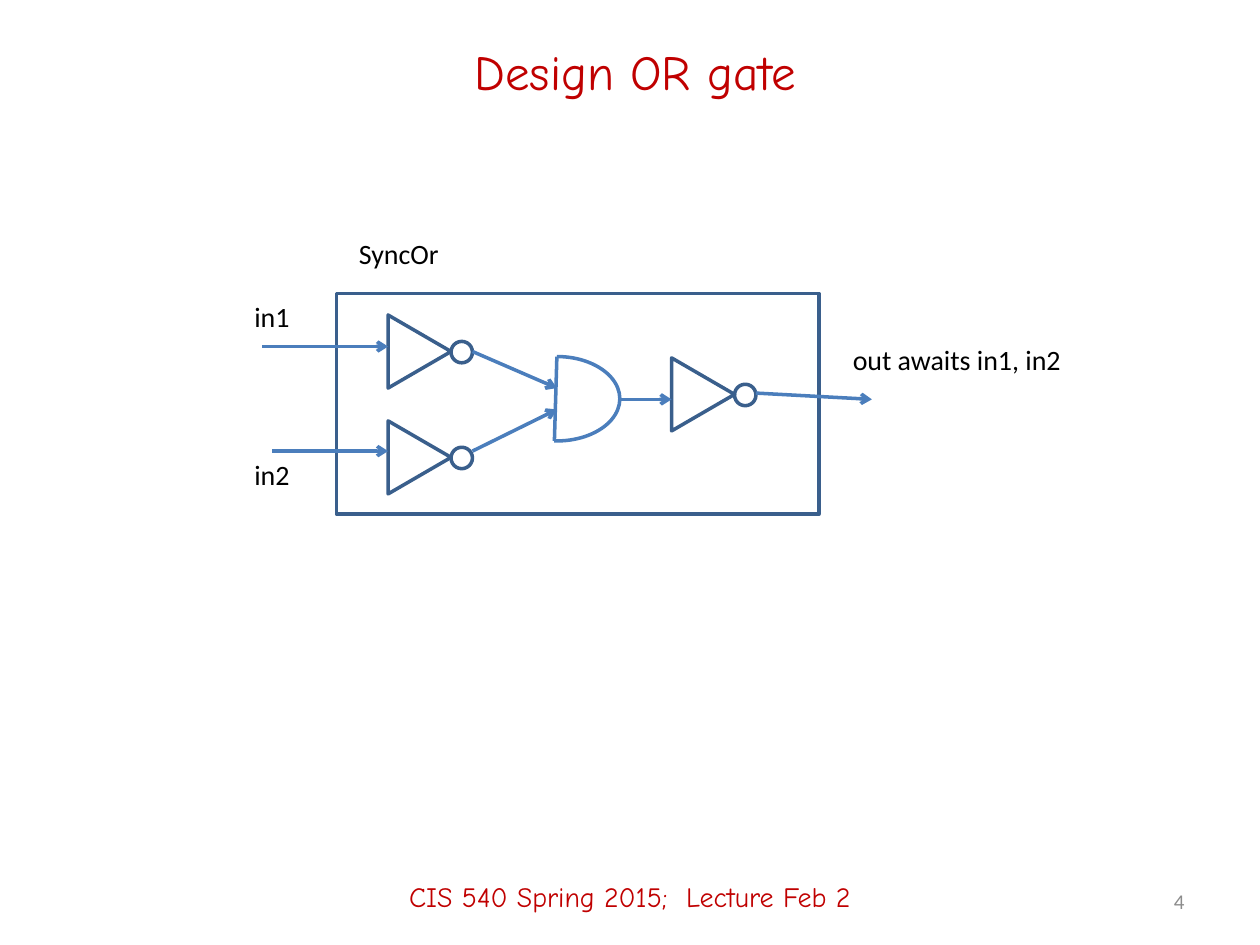
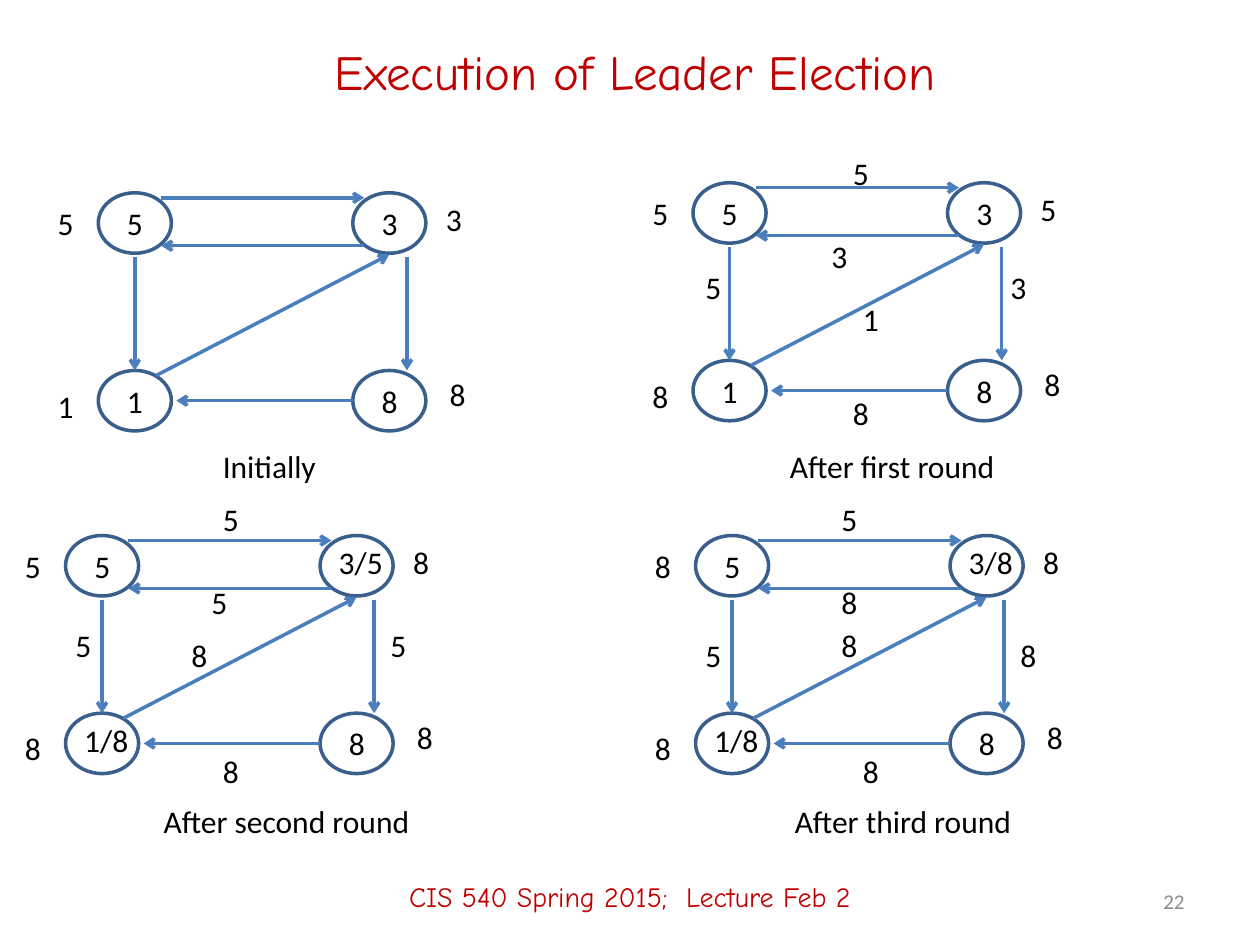
from typing import NamedTuple

from lxml import etree
from pptx import Presentation
from pptx.dml.color import RGBColor
from pptx.enum.shapes import MSO_CONNECTOR, MSO_SHAPE
from pptx.enum.text import MSO_ANCHOR, MSO_AUTO_SIZE, PP_ALIGN
from pptx.oxml.ns import qn
from pptx.presentation import Presentation as Deck
from pptx.shapes.autoshape import Shape
from pptx.slide import Slide
from pptx.text.text import TextFrame
from pptx.util import Inches, Pt

RED = RGBColor(0xC0, 0x00, 0x00)
BLACK = RGBColor(0x00, 0x00, 0x00)
GRAY = RGBColor(0x8C, 0x8C, 0x8C)
WIRE_BLUE = RGBColor(0x4B, 0x7E, 0xBC)
OUTLINE_BLUE = RGBColor(0x3A, 0x5F, 0x8C)

HEADING_FONT, BODY_FONT = "Comic Neue", "Calibri"
FOOTER = "CIS 540 Spring 2015;  Lecture Feb 2"
TITLE_ONLY = 5
LEFT, CENTER, RIGHT = PP_ALIGN.LEFT, PP_ALIGN.CENTER, PP_ALIGN.RIGHT
MIDDLE = MSO_ANCHOR.MIDDLE
FIT_TEXT = MSO_AUTO_SIZE.SHAPE_TO_FIT_TEXT
STRAIGHT = MSO_CONNECTOR.STRAIGHT
OVAL, TRIANGLE = MSO_SHAPE.OVAL, MSO_SHAPE.ISOSCELES_TRIANGLE
RECTANGLE, ARC = MSO_SHAPE.RECTANGLE, MSO_SHAPE.ARC


class Box(NamedTuple):
    left: float
    top: float
    width: float
    height: float


class Label(NamedTuple):
    text: str
    left: float
    top: float
    width: float = 0.33
    height: float = 0.4


class Wire(NamedTuple):
    x1: float
    y1: float
    x2: float
    y2: float


class Round(NamedTuple):
    left: float
    top: float
    nodes: tuple[str, ...]
    leaders: tuple[str, ...]
    caption: Label
    messages: tuple[Label, ...] = ()


# Ring layout, relative to the top left node
NODE_SPOTS = [(x, y) for y in (0, 1.41) for x in (0, 2.02)]
LEADER_SPOTS = [(-0.42, 0.04), (2.66, 0.01), (-0.42, 1.49), (2.69, 1.4)]
RING_WIRES = [
    Wire(0.5, 0.04, 2.11, 0.04),
    Wire(2.11, 0.42, 0.5, 0.42),
    Wire(0.29, 0.51, 0.29, 1.41),
    Wire(2.45, 0.51, 2.45, 1.41),
    Wire(0.46, 1.45, 2.31, 0.49),
    Wire(2.02, 1.65, 0.62, 1.65),
]

# Nodes and leaders run top left, top right, bottom left, bottom right
ROUNDS = [
    Round(0.78, 1.53, ("5", "3", "1", "8"), ("5", "3", "1", "8"),
          Label("Initially", 1.67, 3.5, 0.95)),
    Round(5.5, 1.45, ("5", "3", "1", "8"), ("5", "5", "8", "8"),
          Label("After first round", 6.17, 3.5, 1.85),
          (Label("5", 6.67, 1.17), Label("3", 6.5, 1.83), Label("5", 5.5, 2.08),
           Label("3", 7.92, 2.08), Label("1", 6.75, 2.33), Label("8", 6.67, 3.08))),
    Round(0.52, 4.25, ("5", "3/5", "1/8", "8"), ("5", "8", "8", "8"),
          Label("After second round", 1.2, 6.32, 2.18),
          (Label("5", 1.67, 3.92), Label("5", 1.58, 4.58), Label("5", 0.5, 4.92),
           Label("5", 3, 4.92), Label("8", 1.42, 5), Label("8", 1.67, 5.92))),
    Round(5.52, 4.25, ("5", "3/8", "1/8", "8"), ("8", "8", "8", "8"),
          Label("After third round", 6.21, 6.32, 1.94),
          (Label("5", 6.58, 3.92), Label("8", 6.58, 4.58), Label("5", 5.5, 5),
           Label("8", 8, 5), Label("8", 6.58, 4.92), Label("8", 6.75, 5.92))),
]

# OR gate parts
INVERTERS = [(3.04, 2.54), (3.04, 3.38), (5.29, 2.88)]
GATE_WIRES = [
    Wire(2.08, 2.75, 3.08, 2.75),
    Wire(2.16, 3.58, 3.08, 3.58),
    Wire(3.75, 2.79, 4.42, 3.08),
    Wire(3.75, 3.58, 4.42, 3.25),
    Wire(4.92, 3.17, 5.33, 3.17),
    Wire(6, 3.12, 6.92, 3.17),
]
GATE_LABELS = [
    Label("SyncOr", 2.75, 1.83, 0.84, 0.37),
    Label("in1", 1.92, 2.33, 0.48, 0.37),
    Label("in2", 1.92, 3.58, 0.48, 0.37),
    Label("out awaits in1, in2", 6.67, 2.67, 1.87, 0.37),
]


def write(frame: TextFrame, text: str, size: int, font: str,
          color: RGBColor, align: PP_ALIGN) -> None:
    paragraph = frame.paragraphs[0]
    paragraph.alignment = align
    run = paragraph.add_run()
    run.text = text
    run.font.size = Pt(size)
    run.font.name = font
    run.font.color.rgb = color


def add_label(slide: Slide, label: Label, size: int = 18) -> None:
    frame = slide.shapes.add_textbox(*map(Inches, label[1:])).text_frame
    frame.word_wrap = False
    frame.auto_size = FIT_TEXT
    write(frame, label.text, size, BODY_FONT, BLACK, LEFT)


def add_band(slide: Slide, box: Box, text: str, size: int, font: str,
             color: RGBColor, align: PP_ALIGN) -> None:
    frame = slide.shapes.add_textbox(*map(Inches, box)).text_frame
    frame.word_wrap = True
    frame.vertical_anchor = MIDDLE
    write(frame, text, size, font, color, align)


def add_outline(slide: Slide, kind: MSO_SHAPE, box: Box,
                color: RGBColor = OUTLINE_BLUE) -> Shape:
    shape = slide.shapes.add_shape(kind, *map(Inches, box))
    shape.shadow.inherit = False
    shape.fill.background()
    shape.line.color.rgb = color
    shape.line.width = Pt(2)
    return shape


def add_wire(slide: Slide, wire: Wire, arrow: bool = True) -> None:
    connector = slide.shapes.add_connector(STRAIGHT, *map(Inches, wire))
    connector.line.color.rgb = WIRE_BLUE
    connector.line.width = Pt(2)
    properties = connector._element.spPr
    if arrow:
        etree.SubElement(properties.find(qn("a:ln")), qn("a:tailEnd"), type="arrow")
    etree.SubElement(properties, qn("a:effectLst"))


def start_slide(deck: Deck, title: str, number: int) -> Slide:
    slide = deck.slides.add_slide(deck.slide_layouts[TITLE_ONLY])
    heading = slide.shapes.title
    heading.left, heading.top = Inches(0.75), Inches(0.17)
    heading.width, heading.height = Inches(8.58), Inches(0.78)
    heading.text_frame.vertical_anchor = MIDDLE
    write(heading.text_frame, title, 28, HEADING_FONT, RED, CENTER)
    add_band(slide, Box(0, 6.72, 10, 0.78), FOOTER, 16, HEADING_FONT, RED, CENTER)
    add_band(slide, Box(7.17, 6.95, 2.33, 0.4), str(number), 12, BODY_FONT, GRAY, RIGHT)
    return slide


def add_inverter(slide: Slide, left: float, top: float) -> None:
    add_outline(slide, TRIANGLE, Box(left, top, 0.58, 0.5)).rotation = 90
    add_outline(slide, OVAL, Box(left + 0.54, top + 0.17, 0.17, 0.17))


def add_and_gate(slide: Slide) -> None:
    add_wire(slide, Wire(4.42, 2.83, 4.4, 3.5), arrow=False)
    curve = add_outline(slide, ARC, Box(3.92, 2.83, 1, 0.67), WIRE_BLUE)
    curve.adjustments[0] = 162
    curve.adjustments[1] = 56.146


def add_round(slide: Slide, state: Round) -> None:
    for (dx, dy), value in zip(NODE_SPOTS, state.nodes):
        x, y = state.left + dx, state.top + dy
        add_outline(slide, OVAL, Box(x, y, 0.58, 0.48))
        if "/" in value:
            add_label(slide, Label(value, x + 0.05, y + 0.01, 0.56))
        else:
            add_label(slide, Label(value, x + 0.13, y + 0.04))
    for (dx, dy), leader in zip(LEADER_SPOTS, state.leaders):
        add_label(slide, Label(leader, state.left + dx, state.top + dy))
    for wire in RING_WIRES:
        add_wire(slide, Wire(state.left + wire.x1, state.top + wire.y1,
                             state.left + wire.x2, state.top + wire.y2))
    for label in (state.caption, *state.messages):
        add_label(slide, label)


def build_or_gate(deck: Deck) -> None:
    slide = start_slide(deck, "Design OR gate", 4)
    add_outline(slide, RECTANGLE, Box(2.67, 2.33, 3.83, 1.75))
    for left, top in INVERTERS:
        add_inverter(slide, left, top)
    add_and_gate(slide)
    for wire in GATE_WIRES:
        add_wire(slide, wire)
    for label in GATE_LABELS:
        add_label(slide, label, 16)


def build_leader_election(deck: Deck) -> None:
    slide = start_slide(deck, "Execution of Leader Election", 22)
    for state in ROUNDS:
        add_round(slide, state)


def main() -> None:
    deck = Presentation()
    deck.slide_width, deck.slide_height = Inches(10), Inches(7.5)
    build_or_gate(deck)
    build_leader_election(deck)
    deck.save("out.pptx")


if __name__ == "__main__":
    main()
